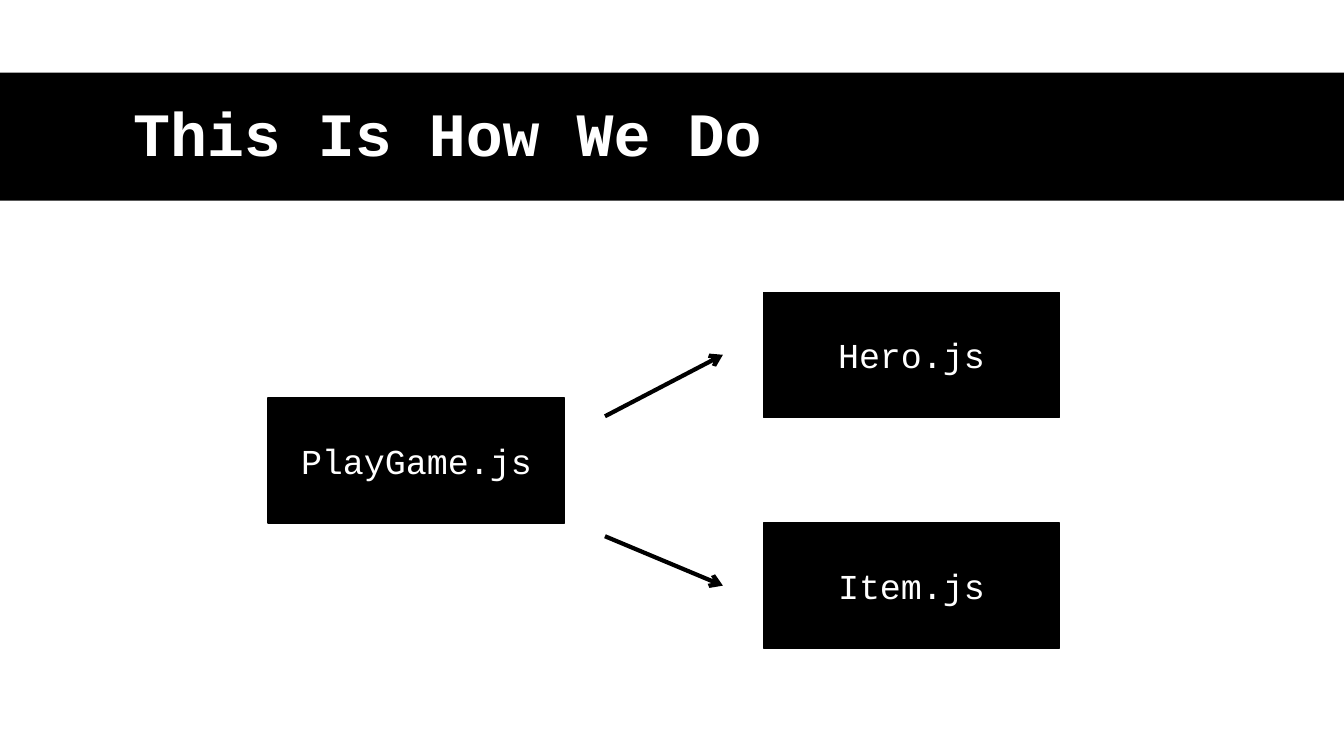
from pptx import Presentation
from pptx import util as u
from pptx.dml.color import RGBColor
from pptx.enum import shapes, text
from pptx.oxml import ns
from lxml import etree

COLORS = {"ink": "000000", "paper": "FFFFFF"}
FACE = "Courier New"


def tint(name):
    """Return a named colour."""
    return RGBColor.from_string(COLORS[name])


def style(frame, words, size, align, bold=False, space=None):
    """Put one formatted line of text into a frame."""
    frame.text = words
    frame.word_wrap = True
    frame.auto_size = text.MSO_AUTO_SIZE.NONE
    frame.vertical_anchor = text.MSO_ANCHOR.MIDDLE
    para = frame.paragraphs[0]
    para.alignment = align
    para.line_spacing = space
    font = para.runs[0].font
    look = {"name": FACE, "size": u.Pt(size), "bold": bold}
    for key, value in look.items():
        setattr(font, key, value)
    font.color.rgb = tint("paper")


def block(slide, box, edge=True):
    """Draw a solid rectangle in the given box."""
    rect = slide.shapes.add_shape(
        shapes.MSO_SHAPE.RECTANGLE, *map(u.Inches, box))
    rect.shadow.inherit = False
    rect.fill.solid()
    rect.fill.fore_color.rgb = tint("ink")
    if edge:
        rect.line.color.rgb = tint("ink")
        rect.line.width = u.Pt(1)
    else:
        rect.line.fill.background()
    return rect


def arrow(slide, start, end):
    """Draw an arrow between two points."""
    line = slide.shapes.add_connector(
        shapes.MSO_CONNECTOR.STRAIGHT, *map(u.Inches, start + end))
    line.line.color.rgb = tint("ink")
    line.line.width = u.Pt(3)
    stroke = line.line._get_or_add_ln()
    etree.SubElement(stroke, ns.qn("a:tailEnd"), type="arrow")
    etree.SubElement(line.element.spPr, ns.qn("a:effectLst"))


def header(slide, box, words):
    """Place the title over a full-width band."""
    left, top, wide, high = box
    band = block(slide, box, edge=False)
    title = slide.shapes.title
    title.element.addprevious(band.element)
    place = {"left": left + 1.22, "top": top - 0.09,
             "width": 8.54, "height": high + 0.18}
    for key, value in place.items():
        setattr(title, key, u.Inches(value))
    style(title.text_frame, words, 44, text.PP_ALIGN.LEFT, True, 0.9)


def diagram(slide, box):
    """Show the main file pointing to the files it uses."""
    left, top, wide, high = box
    size = (2.94, 1.24)
    right = left + wide - size[0]
    files = [("PlayGame.js", left, top + 1.05),
             ("Hero.js", right, top),
             ("Item.js", right, top + high - size[1])]
    for name, x, y in files:
        rect = block(slide, (x, y) + size)
        style(rect.text_frame, name, 25, text.PP_ALIGN.CENTER)
    gap = 0.4
    for (name, x, y), rise in zip(files[1:], (1.23, 2.42)):
        arrow(slide, (left + size[0] + gap, top + rise),
              (x - gap, y + size[1] / 2))


def main():
    """Build and save the slide."""
    deck = Presentation()
    deck.slide_width, deck.slide_height = u.Inches(13.33), u.Inches(7.5)
    slide = deck.slides.add_slide(deck.slide_layouts[5])
    slide.background.fill.solid()
    slide.background.fill.fore_color.rgb = tint("paper")
    header(slide, (0, 0.72, 13.33, 1.27), "This Is How We Do")
    diagram(slide, (2.66, 2.9, 7.85, 3.53))
    deck.save("out.pptx")


if __name__ == "__main__":
    main()
